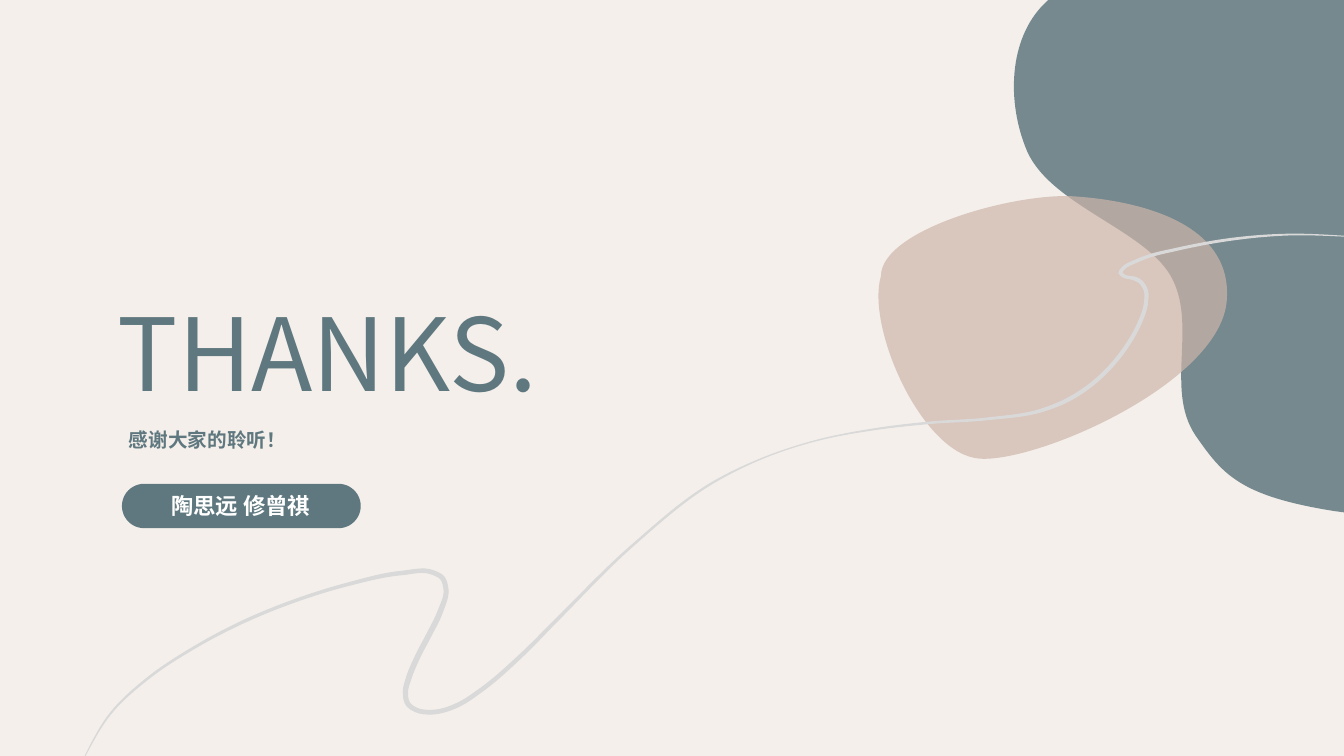
"""Build a closing thanks slide with soft blobs and a tapered ribbon."""
from itertools import pairwise
from math import dist, hypot

from lxml import etree
from pptx import Presentation
from pptx.dml.color import RGBColor
from pptx.enum.shapes import MSO_SHAPE
from pptx.enum.text import MSO_AUTO_SIZE, PP_ALIGN
from pptx.oxml.ns import qn
from pptx.util import Pt

PILL = MSO_SHAPE.ROUNDED_RECTANGLE
GROW = MSO_AUTO_SIZE.SHAPE_TO_FIT_TEXT
LEFT, MID = PP_ALIGN.LEFT, PP_ALIGN.CENTER

THEME = {
    "paper": "F4EFEB", "teal": "5F787F", "blush": "CEB6AA",
    "thread": "D9D9D9", "white": "FFFFFF",
    "face": "Noto Sans CJK SC", "title": 72, "note": 14, "name": 16,
}
SIZE = (960, 540)
BADGE = (87.1, 345.6, 170.6, 31.7)
BAND = (60.5, 166.3, 899.5, 373.7)

TEXTS = [
    {"text": "THANKS.", "box": (77, 204, 441.4, 94.3), "size": "title",
     "ink": "teal", "bold": False, "align": LEFT, "wrap": True, "lead": None},
    {"text": "感谢大家的聆听！", "box": (85, 293.8, 475.9, 32.4), "size": "note",
     "ink": "teal", "bold": True, "align": LEFT, "wrap": True, "lead": 1.5},
    {"text": "陶思远 修曾祺", "box": (114.5, 347.8, 115.2, 26.6), "size": "name",
     "ink": "white", "bold": True, "align": MID, "wrap": False, "lead": None},
]

# A leg of one point is straight, a leg of three is a cubic curve.
BLOBS = [
    {"ink": "teal", "alpha": 85, "box": (724.3, 0, 235.7, 366),
     "start": (748.8, 0),
     "legs": [
         [(960, 0)], [(960, 366)], [(952.5, 365)],
         [(885.6, 354.2), (873.4, 339.1), (853.9, 311)],
         [(831.6, 277.9), (856.1, 231.1), (835.9, 196.6)],
         [(815.8, 162.7), (746.6, 145.4), (732.2, 104.4)],
         [(718.6, 69.1), (721.4, 24.5), (748.1, 0.7)]]},
    {"ink": "blush", "alpha": 70, "box": (627.8, 139.7, 249.1, 187.9),
     "start": (629.3, 197.3),
     "legs": [
         [(629.3, 163.4), (727.9, 136.8), (769, 140.4)],
         [(810, 143.3), (882, 157.7), (876.2, 216)],
         [(869.8, 274.3), (740.9, 330.5), (699.8, 327.6)],
         [(658.8, 324.7), (618.5, 234), (629.3, 197.3)]]},
]

# Each knot holds x, y and thickness.
SPINE = [
    (960, 168.7, 0.7), (919.5, 167.6, 1.3), (879, 171, 2), (840, 178.2, 2.2),
    (820, 183.2, 2.4), (811, 186.8, 2.5), (802.5, 191.5, 2.6),
    (800.4, 194.8, 3), (802.5, 197, 2.5), (809.5, 198.7, 2.8),
    (813.7, 200.5, 3), (818.6, 207.7, 3), (818.6, 216.4, 3), (813, 233, 3),
    (804, 248.4, 3), (778.7, 275.4, 3), (763, 285.5, 3), (744.5, 293, 2.6),
    (705, 299.2, 2), (664, 302, 1.8), (624, 306.7, 1.4), (584.6, 314.3, 1),
    (546.8, 326.5, 1), (511.5, 343.4, 1.5), (451.4, 390, 1.8),
    (398.5, 442, 2.5), (372.2, 468.4, 3), (343.8, 492.8, 3.2),
    (327.6, 503.3, 3.3), (318.6, 506.9, 3.3), (308.9, 508.7, 3.4),
    (297, 507, 3.4), (291.8, 503.4, 3.6), (289.6, 494, 3.8),
    (291.6, 485.6, 4), (298.4, 469, 4), (306.4, 453.6, 4),
    (314.3, 437.4, 4), (318.6, 420.5, 3.6), (316, 412.8, 3.6),
    (308.5, 408.7, 3.4), (287, 409.3, 3.2), (247.7, 417.6, 2.6),
    (208.8, 429.8, 2.4), (172.8, 444.6, 2.3), (138, 463, 2),
    (106.6, 483.8, 1.8), (79.2, 509.4, 1.4), (60.8, 540, 0.7),
]


def slopes(pts):
    """Return the direction of a smooth curve at each point."""
    gaps = [dist(a, b) for a, b in pairwise(pts)]
    rates = [[(q - p) / gap for p, q in zip(a, b)]
             for (a, b), gap in zip(pairwise(pts), gaps)]
    mid = [[(u * h + v * g) / (g + h) for u, v in zip(r, s)]
           for (r, s), (g, h) in zip(pairwise(rates), pairwise(gaps))]
    ends = [[(3 * u - v) / 2 for u, v in zip(rates[i], mid[i])]
            for i in (0, -1)]
    return [ends[0], *mid, ends[1]]


def smooth(pts):
    """Return the cubic legs that join the points."""
    legs = []
    for (a, m), (d, n) in pairwise(zip(pts, slopes(pts))):
        third = dist(a, d) / 3
        legs.append([[p + v * third for p, v in zip(a, m)],
                     [p - v * third for p, v in zip(d, n)], d])
    return legs


def ribbon(knots):
    """Return the start and legs of a band around the knots."""
    sides = [], []
    for (x, y, thick), (dx, dy) in zip(knots, slopes([k[:2] for k in knots])):
        half = thick / 2 / hypot(dx, dy)
        for side, sign in zip(sides, (1, -1)):
            side.append((x + sign * dy * half, y - sign * dx * half))
    near, far = sides[0], sides[1][::-1]
    return near[0], [*smooth(near), [far[0]], *smooth(far)]


def paint(shape, ink, alpha=100):
    """Give a shape a flat fill with no line or shadow."""
    shape.shadow.inherit = False
    shape.line.fill.background()
    shape.fill.solid()
    shape.fill.fore_color.rgb = RGBColor.from_string(THEME[ink])
    if alpha < 100:
        tone = next(shape.fill._xPr.iter(qn("a:srgbClr")))
        etree.SubElement(tone, qn("a:alpha"), val=str(alpha * 1000))


def trace(slide, box, start, legs, ink, alpha=100):
    """Draw a closed outline of lines and curves within a box."""
    left, top, wide, high = map(Pt, box)
    pen = slide.shapes.build_freeform(left, top)
    pen.add_line_segments([(left + wide, top), (left + wide, top + high),
                           (left, top + high)])
    shape = pen.convert_to_shape()
    route = next(shape._element.iter(qn("a:path")))
    for node in list(route):
        route.remove(node)
    kinds = {1: "a:lnTo", 3: "a:cubicBezTo"}
    moves = [("a:moveTo", [start]), *((kinds[len(leg)], leg) for leg in legs)]
    for kind, pts in moves:
        node = etree.SubElement(route, qn(kind))
        for x, y in pts:
            etree.SubElement(node, qn("a:pt"), x=str(Pt(x) - left),
                             y=str(Pt(y) - top))
    etree.SubElement(route, qn("a:close"))
    paint(shape, ink, alpha)


def write(slide, item):
    """Add one text box."""
    frame = slide.shapes.add_textbox(*map(Pt, item["box"])).text_frame
    para = frame.paragraphs[0]
    run = para.add_run()
    run.text = item["text"]
    looks = [
        (frame, {"word_wrap": item["wrap"], "auto_size": GROW}),
        (para, {"alignment": item["align"], "line_spacing": item["lead"]}),
        (run.font, {"name": THEME["face"], "size": Pt(THEME[item["size"]]),
                    "bold": item["bold"]}),
    ]
    for part, values in looks:
        for key, value in values.items():
            setattr(part, key, value)
    run.font.color.rgb = RGBColor.from_string(THEME[item["ink"]])
    etree.SubElement(run.font._element, qn("a:ea"), typeface=THEME["face"])


def main():
    """Compose and save the slide."""
    deck = Presentation()
    deck.slide_width, deck.slide_height = map(Pt, SIZE)
    slide = deck.slides.add_slide(deck.slide_layouts[6])
    back = slide.background.fill
    back.solid()
    back.fore_color.rgb = RGBColor.from_string(THEME["paper"])
    for blob in BLOBS:
        trace(slide, **blob)
    trace(slide, BAND, *ribbon(SPINE), "thread")
    badge = slide.shapes.add_shape(PILL, *map(Pt, BADGE))
    badge.adjustments[0] = 0.5
    paint(badge, "teal")
    for item in TEXTS:
        write(slide, item)
    deck.save("out.pptx")


if __name__ == "__main__":
    main()
